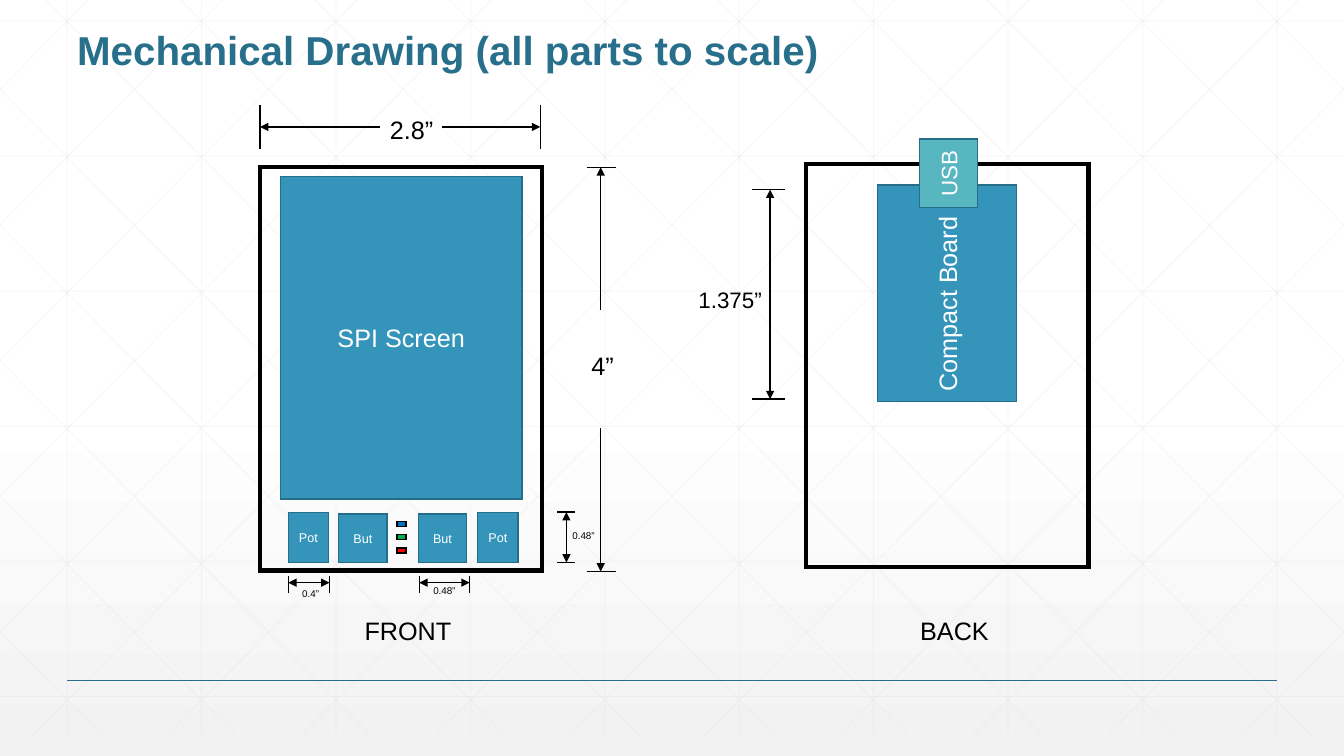
from lxml import etree
from pptx import Presentation
from pptx.dml.color import RGBColor
from pptx.enum.shapes import MSO_CONNECTOR, MSO_SHAPE
from pptx.enum.text import MSO_ANCHOR, MSO_AUTO_SIZE, PP_ALIGN
from pptx.oxml.ns import qn
from pptx.util import Pt

RECT = MSO_SHAPE.RECTANGLE
LINE = MSO_CONNECTOR.STRAIGHT
MID, TOP = MSO_ANCHOR.MIDDLE, MSO_ANCHOR.TOP
LEFT, CENTER = PP_ALIGN.LEFT, PP_ALIGN.CENTER
FIT = MSO_AUTO_SIZE.SHAPE_TO_FIT_TEXT

WHITE = RGBColor(0xFF, 0xFF, 0xFF)
BLACK = RGBColor(0, 0, 0)
PALE = RGBColor(0xF2, 0xF2, 0xF2)
GREY = RGBColor(0xD9, 0xD9, 0xD9)
NAVY = RGBColor(0x27, 0x6F, 0x8B)
EDGE = RGBColor(0x26, 0x6D, 0x8A)
BLUE = RGBColor(0x34, 0x94, 0xBA)
TEAL = RGBColor(0x58, 0xB6, 0xC0)
LEDS = (RGBColor(0, 0x70, 0xC0), RGBColor(0, 0xB0, 0x50), RGBColor(0xFF, 0, 0))

WIDE, HIGH = 960, 540
GRID_TOP, GRID_END = -15, 525
STEP = 96
SLANT = 0.99


def write(shape, text, size=18, color=BLACK, bold=False, align=LEFT, anchor=TOP):
    """Put one formatted line of text in a shape."""
    frame = shape.text_frame
    frame.vertical_anchor = anchor
    para = frame.paragraphs[0]
    para.alignment = align
    run = para.add_run()
    run.text = text
    font = run.font
    font.name, font.size, font.bold = "Arial", Pt(size), bold
    font.color.rgb = color


def label(slide, text, left, top, width, height, **style):
    """Add a text box that holds one line."""
    box = slide.shapes.add_textbox(Pt(left), Pt(top), Pt(width), Pt(height))
    box.text_frame.word_wrap = False
    box.text_frame.auto_size = FIT
    write(box, text, **style)


def block(slide, left, top, width, height, fill=None, edge=EDGE, weight=1,
          turn=0, text=None, **style):
    """Add a sharp-cornered rectangle, with centred white text by default."""
    shape = slide.shapes.add_shape(RECT, Pt(left), Pt(top), Pt(width), Pt(height))
    shape.shadow.inherit = False
    shape.rotation = turn
    if fill is None:
        shape.fill.background()
    else:
        shape.fill.solid()
        shape.fill.fore_color.rgb = fill
    shape.line.color.rgb = edge
    shape.line.width = Pt(weight)
    outline = shape.element.spPr.find(qn("a:ln"))
    etree.SubElement(outline, qn("a:miter"), lim="800000")
    if text:
        write(shape, text, **{"color": WHITE, "align": CENTER, "anchor": MID, **style})


def rule(slide, start, end, color=BLACK, weight=1, arrow=False, alpha=None):
    """Draw a straight line; an arrow points at its start."""
    ends = [Pt(value) for value in (*start, *end)]
    line = slide.shapes.add_connector(LINE, *ends)
    line.line.color.rgb = color
    line.line.width = Pt(weight)
    props = line.element.spPr
    if alpha:
        tone = next(props.iter(qn("a:srgbClr")))
        etree.SubElement(tone, qn("a:alpha"), val=str(alpha * 1000))
    if arrow:
        etree.SubElement(props.find(qn("a:ln")), qn("a:headEnd"), type="triangle")
    etree.SubElement(props, qn("a:effectLst"))


def measure(slide, ends, pos, ticks, gap=None, upright=False):
    """Draw a dimension: an end tick and an inner arrow for each end."""
    def place(along, across):
        return (across, along) if upright else (along, across)

    mid = sum(ends) / 2
    for end, stop in zip(ends, gap or (mid, mid)):
        rule(slide, place(end, ticks[0]), place(end, ticks[1]))
        rule(slide, place(end, pos), place(stop, pos), arrow=True)


def backdrop(slide):
    """Fill the background and lay the faint grid with its diagonals."""
    fill = slide.background.fill
    fill.gradient()
    fill.gradient_angle = 270
    for stop, place, color in zip(fill.gradient_stops, (0.53, 1), (WHITE, PALE)):
        stop.position = place
        stop.color.rgb = color
    faint = {"color": GREY, "weight": 0.5, "alpha": 25}
    for col in range(10):
        x = 48 + STEP * col
        rule(slide, (x, GRID_TOP), (x, GRID_END), **faint)
    for row in range(6):
        y = 15 + 96.5 * row
        rule(slide, (0, y), (WIDE, y), **faint)
    for col in range(-5, 10):
        base = 18 + STEP * col
        x1 = max(base, 0)
        x2 = min(base + (GRID_END - GRID_TOP) * SLANT, WIDE)
        y1, y2 = (GRID_TOP + (x - base) / SLANT for x in (x1, x2))
        rule(slide, (x1, y1), (x2, y2), **faint)
        rule(slide, (WIDE - x1, y1), (WIDE - x2, y2), **faint)


def front(slide):
    """Draw the front face with its screen, controls and lights."""
    block(slide, 185.8, 119.5, 201.6, 288, edge=BLACK, weight=3)
    block(slide, 200.2, 126, 172.8, 230.4, fill=BLUE, text="SPI Screen")
    for left in (205.9, 341.3):
        block(slide, left, 366, 28.8, 36, fill=BLUE, text="Pot", size=9)
    for left in (241.9, 298.8):
        block(slide, left, 367.2, 34.56, 34.56, fill=BLUE, text="But", size=9)
    for row, color in enumerate(LEDS):
        block(slide, 283.6, 372.7 + 9.3 * row, 6.5, 3.6, fill=color, edge=BLACK)


def back(slide):
    """Draw the back face with the board and its port."""
    block(slide, 576, 116.9, 201.6, 288, edge=BLACK, weight=3)
    block(slide, 599, 159.8, 154.8, 99.4, fill=BLUE, turn=270,
          text="Compact Board", align=LEFT)
    block(slide, 653, 103, 49, 41.8, fill=TEAL, turn=270, text="USB", size=16)


def sizes(slide):
    """Draw all dimensions with their values."""
    measure(slide, (119.5, 408.2), 429.1, (419, 440), gap=(221.8, 306), upright=True)
    label(slide, "4”", 415.4, 247, 31, 29)
    measure(slide, (185.8, 385.9), 90.7, (74.9, 106.6), gap=(271.4, 315.4))
    label(slide, "2.8”", 271.4, 77.8, 46, 29)
    measure(slide, (205.9, 235.4), 416.2, (411.1, 423.4))
    label(slide, "0.4”", 208.8, 416.2, 27.4, 15.8, size=7)
    measure(slide, (299.5, 335.5), 416.2, (411.1, 423.4))
    label(slide, "0.48”", 302.4, 414, 32.4, 15.8, size=7)
    measure(slide, (365.8, 401.8), 404.6, (398.2, 410.4), upright=True)
    label(slide, "0.48”", 401.8, 375.1, 32.4, 15.8, size=7)
    measure(slide, (135.4, 285.1), 550.1, (537.1, 560.9), upright=True)
    label(slide, "1.375”", 491.8, 200.9, 60.5, 26.6, size=16)


def main():
    """Build the slide and save it."""
    deck = Presentation()
    deck.slide_width, deck.slide_height = Pt(WIDE), Pt(HIGH)
    slide = deck.slides.add_slide(deck.slide_layouts[6])
    backdrop(slide)
    rule(slide, (48, 486), (912, 486), color=NAVY)
    label(slide, "Mechanical Drawing (all parts to scale)", 48, 16, 548.6, 38.9,
          size=28.8, color=NAVY, bold=True, anchor=MID)
    label(slide, "FRONT", 253.4, 435.6, 77, 29)
    label(slide, "BACK", 650.2, 435.6, 64, 29)
    front(slide)
    back(slide)
    sizes(slide)
    deck.save("out.pptx")


main()
